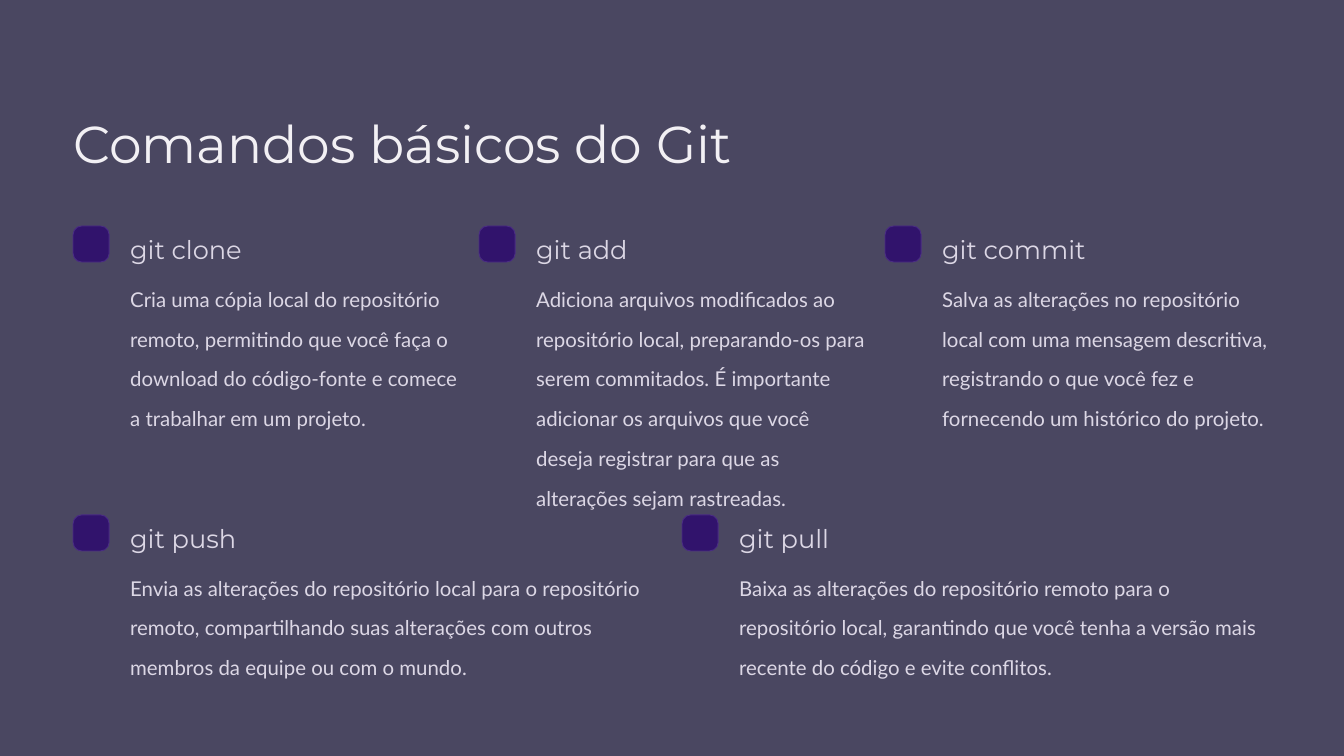
from pptx import Presentation
from pptx.dml.color import RGBColor
from pptx.enum.shapes import MSO_SHAPE
from pptx.enum.text import MSO_ANCHOR, MSO_AUTO_SIZE, PP_ALIGN
from pptx.util import Inches, Pt

ROUNDED = MSO_SHAPE.ROUNDED_RECTANGLE
TOP, NO_FIT, LEFT = MSO_ANCHOR.TOP, MSO_AUTO_SIZE.NONE, PP_ALIGN.LEFT

# Grid in inches
WIDTH, HEIGHT = 16, 9
MARGIN, GAP = 0.87, 0.24
MARKER, INDENT = 0.43, 0.68
BODY_DROP = 0.54
LIGHT = "DCD7E5"

ROWS = [
    (2.69, 2.38, [
        ("git clone", "Cria uma cópia local do repositório remoto, permitindo que você faça o "
                      "download do código-fonte e comece a trabalhar em um projeto."),
        ("git add", "Adiciona arquivos modificados ao repositório local, preparando-os para serem "
                    "commitados. É importante adicionar os arquivos que você deseja registrar "
                    "para que as alterações sejam rastreadas."),
        ("git commit", "Salva as alterações no repositório local com uma mensagem descritiva, "
                       "registrando o que você fez e fornecendo um histórico do projeto."),
    ]),
    (6.13, 1.19, [
        ("git push", "Envia as alterações do repositório local para o repositório remoto, "
                     "compartilhando suas alterações com outros membros da equipe ou com o mundo."),
        ("git pull", "Baixa as alterações do repositório remoto para o repositório local, "
                     "garantindo que você tenha a versão mais recente do código e evite conflitos."),
    ]),
]


def rgb(value):
    return RGBColor.from_string(value)


def write(sp, text, font, size, color, spacing):
    tf = sp.text_frame
    tf.text = text
    tf.word_wrap = True
    tf.auto_size = NO_FIT
    tf.vertical_anchor = TOP
    tf.margin_left = tf.margin_right = tf.margin_top = tf.margin_bottom = 0
    p = tf.paragraphs[0]
    p.alignment = LEFT
    p.line_spacing = spacing
    r = p.runs[0]
    r.font.name = font
    r.font.size = Pt(size)
    r.font.color.rgb = rgb(color)


prs = Presentation()
prs.slide_width, prs.slide_height = Inches(WIDTH), Inches(HEIGHT)
s = prs.slides.add_slide(prs.slide_layouts[5])

# Background
s.background.fill.solid()
s.background.fill.fore_color.rgb = rgb("4A4761")

# Title
title = s.shapes.title
title.left, title.top = Inches(MARGIN), Inches(1.14)
title.width, title.height = Inches(7.86), Inches(0.78)
write(title, "Comandos básicos do Git", "Montserrat", 44.5, "F2F0F4", 1.25)

# Commands: each row shares the content width equally
for top, body_height, commands in ROWS:
    step = (WIDTH - 2 * MARGIN + GAP) / len(commands)
    for col, (name, description) in enumerate(commands):
        left = MARGIN + col * step

        # Marker
        sp = s.shapes.add_shape(ROUNDED, Inches(left), Inches(top), Inches(MARKER), Inches(MARKER))
        sp.adjustments[0] = 0.24
        sp.shadow.inherit = False
        sp.fill.solid()
        sp.fill.fore_color.rgb = rgb("31136C")
        sp.line.color.rgb = rgb("4A2C85")
        sp.line.width = Pt(0.75)

        # Name and description
        text_left = Inches(left + INDENT)
        heading = s.shapes.add_textbox(text_left, Inches(top), Inches(3.1), Inches(0.39))
        write(heading, name, "Montserrat", 22, LIGHT, 1.25)
        body = s.shapes.add_textbox(text_left, Inches(top + BODY_DROP),
                                    Inches(step - GAP - INDENT), Inches(body_height))
        write(body, description, "Lato", 17.5, LIGHT, 1.63)

prs.save("out.pptx")
